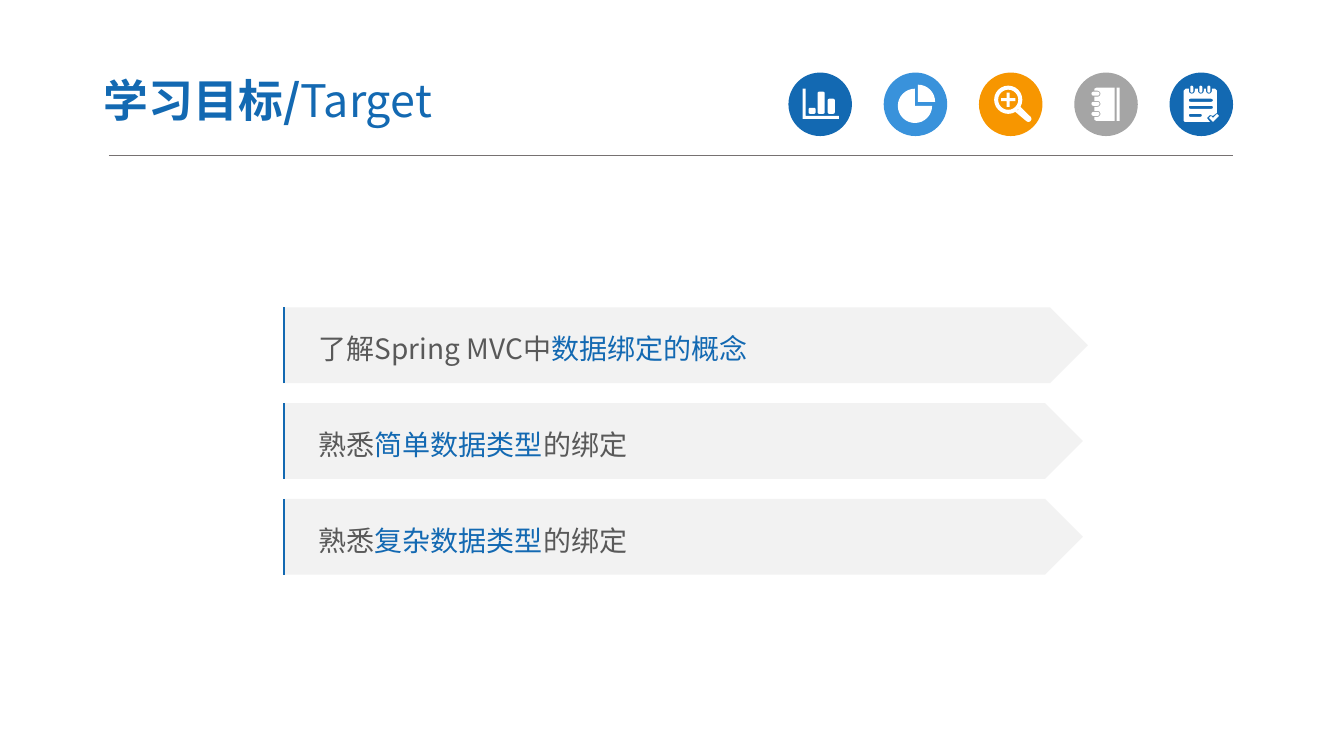
import math

import pptx
import pptx.dml.color
import pptx.enum.shapes
import pptx.enum.text
import pptx.oxml
import pptx.oxml.ns
import pptx.util

Inches = pptx.util.Inches
SHAPE = pptx.enum.shapes.MSO_SHAPE
FONT = "Noto Sans CJK SC"
BLUE, SKY, ORANGE, SILVER = "1369B2", "3992DB", "F79600", "A5A5A5"
WHITE, PALE, DARK, RULE = "FFFFFF", "F2F2F2", "595959", "767171"
BADGE = 0.63


def color(value):
    return pptx.dml.color.RGBColor.from_string(value)


def paint(shape, fill):
    shape.shadow.inherit = False
    shape.fill.solid()
    shape.fill.fore_color.rgb = color(fill)
    shape.line.fill.background()
    return shape


def add_part(slide, preset, box, fill):
    return paint(slide.shapes.add_shape(preset, *map(Inches, box)), fill)


def add_text(paragraph, text, size=20, fill=DARK, bold=False):
    run = paragraph.add_run()
    run.text = text
    run.font.size = pptx.util.Pt(size)
    run.font.bold = bold
    run.font.color.rgb = color(fill)
    run.font.name = FONT
    latin = run._r.rPr.find(pptx.oxml.ns.qn("a:latin"))
    latin.addnext(pptx.oxml.parse_xml(
        f'<a:ea {pptx.oxml.ns.nsdecls("a")} typeface="{FONT}"/>'))


def arc(x, y, radius, start, end, steps):
    angles = [math.radians(start + (end - start) * step / steps)
              for step in range(steps + 1)]
    return [(x + radius * math.cos(angle), y + radius * math.sin(angle))
            for angle in angles]


def rounded(x, y, width, height, radius=0.015):
    right, bottom = x + width - radius, y + height - radius
    corners = ((right, bottom), (x + radius, bottom),
               (x + radius, y + radius), (right, y + radius))
    return [point for index, corner in enumerate(corners)
            for point in arc(*corner, radius, 90 * index, 90 * index + 90, 3)]


def chart_icon():
    axes = [(0.14, 0.16), (0.17, 0.16), (0.17, 0.43),
            (0.5, 0.43), (0.5, 0.46), (0.14, 0.46)]
    bars = ((0.2, 0.35, 0.06), (0.29, 0.19, 0.22), (0.39, 0.26, 0.15))
    return [axes] + [rounded(x, y, 0.07, height) for x, y, height in bars]


def pie_icon():
    return [[(0.34, 0.29)] + arc(0.34, 0.29, 0.17, -90, 0, 8),
            [(0.31, 0.33)] + arc(0.31, 0.33, 0.17, 0, 270, 24)]


def magnifier_icon():
    lens = [arc(0.29, 0.27, radius, 0, 360, 24) for radius in (0.14, 0.1)]
    near, far = 0.03, 0.06
    plus = [(0.29 + x, 0.27 + y) for x, y in (
        (-0.07, -0.015), (-0.015, -0.015), (-0.015, -0.07), (0.015, -0.07),
        (0.015, -0.015), (0.07, -0.015), (0.07, 0.015), (0.015, 0.015),
        (0.015, 0.07), (-0.015, 0.07), (-0.015, 0.015), (-0.07, 0.015))]
    handle = [(0.36, 0.39), (0.41, 0.34)] + arc(0.49, 0.46, near, -45, 135, 6)
    return lens + [plus, handle]


def notebook_icon():
    page = [(0.4, 0.48), (0.4, 0.15), (0.22, 0.15), (0.2, 0.16)]
    rings = []
    for y in (0.21, 0.31, 0.41):
        page += [(0.2, y - 0.03)] + arc(0.23, y, 0.03, -90, 90, 6) + [(0.2, y + 0.03)]
        rings.append(rounded(0.17, y - 0.02, 0.08, 0.04, 0.02))
    page += [(0.2, 0.47), (0.22, 0.48)]
    strip = [(0.42, 0.15), (0.45, 0.15), (0.45, 0.48), (0.42, 0.48)]
    return [page, strip] + rings


def notepad_icon():
    page = [(0.14, 0.48), (0.14, 0.18), (0.16, 0.16)]
    rings = []
    for x in (0.22, 0.31, 0.39):
        page += [(x - 0.03, 0.16)] + arc(x, 0.18, 0.03, 180, 0, 6) + [(x + 0.03, 0.16)]
        rings.append(rounded(x - 0.015, 0.13, 0.03, 0.07))
    page += [(0.45, 0.16), (0.47, 0.18), (0.47, 0.4), (0.43, 0.43),
             (0.4, 0.42), (0.37, 0.45), (0.4, 0.49), (0.15, 0.49)]
    lines = [rounded(0.19, y, width, 0.03)
             for y, width in ((0.26, 0.24), (0.33, 0.24), (0.41, 0.13))]
    tick = [(0.39, 0.45), (0.41, 0.43), (0.43, 0.45),
            (0.47, 0.41), (0.49, 0.43), (0.43, 0.49)]
    return [page, tick] + lines + rings


def add_badge(slide, left, top, fill, contours):
    add_part(slide, SHAPE.OVAL, (left, top, BADGE, BADGE), fill)
    placed = [[(Inches(left + x), Inches(top + y)) for x, y in contour]
              for contour in contours]
    outline = slide.shapes.build_freeform(*placed[0][0], scale=1.0)
    outline.add_line_segments(placed[0][1:], close=True)
    for contour in placed[1:]:
        outline.move_to(*contour[0])
        outline.add_line_segments(contour[1:], close=True)
    paint(outline.convert_to_shape(), WHITE)


def add_header(slide, left, top, width, height):
    heading = slide.shapes.title
    heading.left, heading.top = Inches(left - 0.18), Inches(top - 0.09)
    heading.width, heading.height = Inches(5.22), Inches(0.72)
    frame = heading.text_frame
    frame.auto_size = pptx.enum.text.MSO_AUTO_SIZE.NONE
    frame.vertical_anchor = pptx.enum.text.MSO_ANCHOR.MIDDLE
    frame.margin_left = frame.margin_right = Inches(0.13)
    frame.margin_top = frame.margin_bottom = Inches(0.07)
    paragraph = frame.paragraphs[0]
    paragraph.alignment = pptx.enum.text.PP_ALIGN.LEFT
    add_text(paragraph, "学习目标/", size=32, fill=BLUE, bold=True)
    add_text(paragraph, "Target", size=32, fill=BLUE)

    bottom = Inches(top + height)
    rule = slide.shapes.add_connector(
        pptx.enum.shapes.MSO_CONNECTOR.STRAIGHT,
        Inches(left), bottom, Inches(left + width), bottom)
    rule.line.color.rgb = color(RULE)
    rule.line.width = pptx.util.Pt(0.5)
    rule._element.spPr.append(pptx.oxml.parse_xml(
        f'<a:effectLst {pptx.oxml.ns.nsdecls("a")}/>'))

    badges = ((BLUE, chart_icon), (SKY, pie_icon), (ORANGE, magnifier_icon),
              (SILVER, notebook_icon), (BLUE, notepad_icon))
    pitch = (width - BADGE - 6.74) / (len(badges) - 1)
    for index, (fill, icon) in enumerate(badges):
        add_badge(slide, left + 6.74 + index * pitch, top, fill, icon())


def add_goal(slide, left, top, width, height, phrases):
    goal = add_part(slide, SHAPE.PENTAGON, (left, top, width, height), PALE)
    frame = goal.text_frame
    frame.word_wrap = True
    frame.vertical_anchor = pptx.enum.text.MSO_ANCHOR.MIDDLE
    frame.margin_left = Inches(0.35)
    paragraph = frame.paragraphs[0]
    paragraph.alignment = pptx.enum.text.PP_ALIGN.LEFT
    paragraph.line_spacing = 1.2
    for phrase, fill in zip(phrases, (DARK, BLUE, DARK)):
        add_text(paragraph, phrase, fill=fill)

    x, y = Inches(left + 0.01), Inches(top)
    outline = slide.shapes.build_freeform(x, y + Inches(height), scale=1.0)
    outline.add_line_segments([(x, y)], close=False)
    outline.move_to(x + Inches(0.12), y)
    edge = outline.convert_to_shape()
    edge.shadow.inherit = False
    edge.fill.background()
    edge.line.color.rgb = color(BLUE)
    edge.line.width = pptx.util.Pt(1.5)


def add_goals(slide, left, top, width, height):
    goals = ((0.05, ("了解Spring MVC中", "数据绑定的概念")),
             (0, ("熟悉", "简单数据类型", "的绑定")),
             (0, ("熟悉", "复杂数据类型", "的绑定")))
    gap = 0.2
    bar = (height - gap * (len(goals) - 1)) / len(goals)
    for index, (extra, phrases) in enumerate(goals):
        add_goal(slide, left, top + index * (bar + gap), width + extra, bar, phrases)


def main():
    deck = pptx.Presentation()
    deck.slide_width, deck.slide_height = Inches(13.33), Inches(7.5)
    slide = deck.slides.add_slide(deck.slide_layouts[5])
    add_header(slide, 1.08, 0.72, 11.15, 0.82)
    add_goals(slide, 2.81, 3.05, 7.93, 2.65)
    deck.save("out.pptx")


if __name__ == "__main__":
    main()
